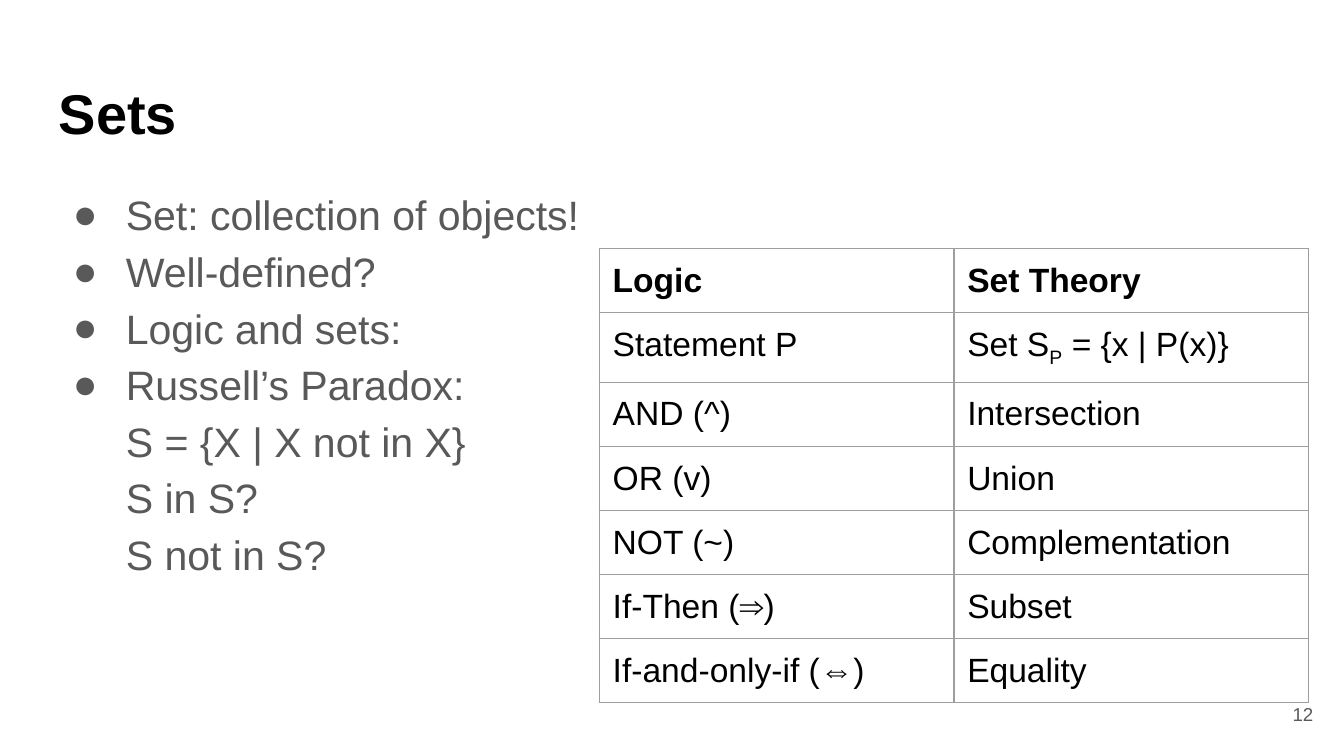
from lxml.etree import SubElement
from pptx import Presentation
from pptx.dml.color import RGBColor
from pptx.enum.text import MSO_ANCHOR as ANCHOR, MSO_AUTO_SIZE as AUTO, PP_ALIGN as ALIGN
from pptx.oxml import parse_xml
from pptx.oxml.ns import nsdecls, qn
from pptx.util import Cm, Pt

THEME = {
    "title": {"name": "Arial", "size": Pt(30), "bold": True, "color": "000000"},
    "body": {"name": "Arial", "size": Pt(22), "bold": False, "color": "595959"},
    "head": {"name": "Arial", "size": Pt(18), "bold": True, "color": "000000"},
    "cell": {"name": "Arial", "size": Pt(18), "bold": False, "color": "000000"},
    "number": {"name": "Arial", "size": Pt(10), "bold": False, "color": "595959"},
    "border": "9E9E9E",
}
INSET = Cm(0.25)
SIDES = ("left", "top", "right", "bottom")


def add_run(p, text, style):
    r = p.add_run()
    r.text = text
    for key, value in THEME[style].items():
        if key == "color":
            r.font.color.rgb = RGBColor.from_string(value)
        else:
            setattr(r.font, key, value)
    return r


def set_frame(tf, anchor):
    frame = {"word_wrap": True, "auto_size": AUTO.NONE, "vertical_anchor": anchor}
    frame.update({f"margin_{side}": INSET for side in SIDES})
    for key, value in frame.items():
        setattr(tf, key, value)


prs = Presentation()
prs.slide_width, prs.slide_height = Cm(25.4), Cm(14.29)
s = prs.slides.add_slide(prs.slide_layouts[5])

# Title
title = s.shapes.title
title.left, title.top, title.width, title.height = Cm(0.86), Cm(1.24), Cm(23.67), Cm(1.6)
set_frame(title.text_frame, ANCHOR.TOP)
p = title.text_frame.paragraphs[0]
p.alignment = ALIGN.LEFT
add_run(p, "Sets", "title")

# Bulleted notes; the inner lists are lines of one bullet
bullets = [
    ["Set: collection of objects!"],
    ["Well-defined?"],
    ["Logic and sets:"],
    ["Russell’s Paradox:", "S = {X | X not in X}", "S in S?", "S not in S?"],
]
body = s.shapes.add_textbox(Cm(0.86), Cm(3.2), Cm(23.67), Cm(9.5))
tf = body.text_frame
set_frame(tf, ANCHOR.TOP)
for i, lines in enumerate(bullets):
    p = tf.add_paragraph() if i else tf.paragraphs[0]
    p.line_spacing = 1.15
    pPr = p._p.get_or_add_pPr()
    pPr.set("marL", str(Cm(1.27)))
    pPr.set("indent", str(-Cm(1)))
    color = SubElement(pPr, qn("a:buClr"))
    SubElement(color, qn("a:srgbClr"), val=THEME["body"]["color"])
    SubElement(pPr, qn("a:buFont"), typeface="Arial")
    SubElement(pPr, qn("a:buChar"), char="●")
    for j, line in enumerate(lines):
        if j:
            p.add_line_break()
        add_run(p, line, "body")

# Logic and set theory table; a tuple is (text, subscript, text)
rows = [
    ("Logic", "Set Theory"),
    ("Statement P", ("Set S", "P", " = {x | P(x)}")),
    ("AND (^)", "Intersection"),
    ("OR (v)", "Union"),
    ("NOT (~)", "Complementation"),
    ("If-Then (⇒)", "Subset"),
    ("If-and-only-if (⇔)", "Equality"),
]
col_w, row_h = Cm(6.7), Cm(1.07)
table = s.shapes.add_table(len(rows), 2, Cm(11.33), Cm(4.7), col_w * 2, row_h * len(rows)).table
table.first_row = table.horz_banding = False
for i, row in enumerate(rows):
    table.rows[i].height = row_h
    for j, content in enumerate(row):
        cell = table.cell(i, j)
        cell.fill.background()
        for side in SIDES:
            setattr(cell, f"margin_{side}", INSET)
        tcPr = cell._tc.get_or_add_tcPr()
        for k, edge in enumerate("LRTB"):
            tcPr.insert(k, parse_xml(
                f'<a:ln{edge} {nsdecls("a")} w="{Pt(0.75)}"><a:solidFill>'
                f'<a:srgbClr val="{THEME["border"]}"/></a:solidFill></a:ln{edge}>'))
        parts = (content,) if isinstance(content, str) else content
        for k, part in enumerate(parts):
            r = add_run(cell.text_frame.paragraphs[0], part, "cell" if i else "head")
            if k == 1:
                r._r.get_or_add_rPr().set("baseline", "-25000")

# Slide number
number = s.shapes.add_textbox(Cm(23.55), Cm(12.95), Cm(1.52), Cm(1.09))
set_frame(number.text_frame, ANCHOR.MIDDLE)
p = number.text_frame.paragraphs[0]
p.alignment = ALIGN.RIGHT
add_run(p, "12", "number")

prs.save("out.pptx")
